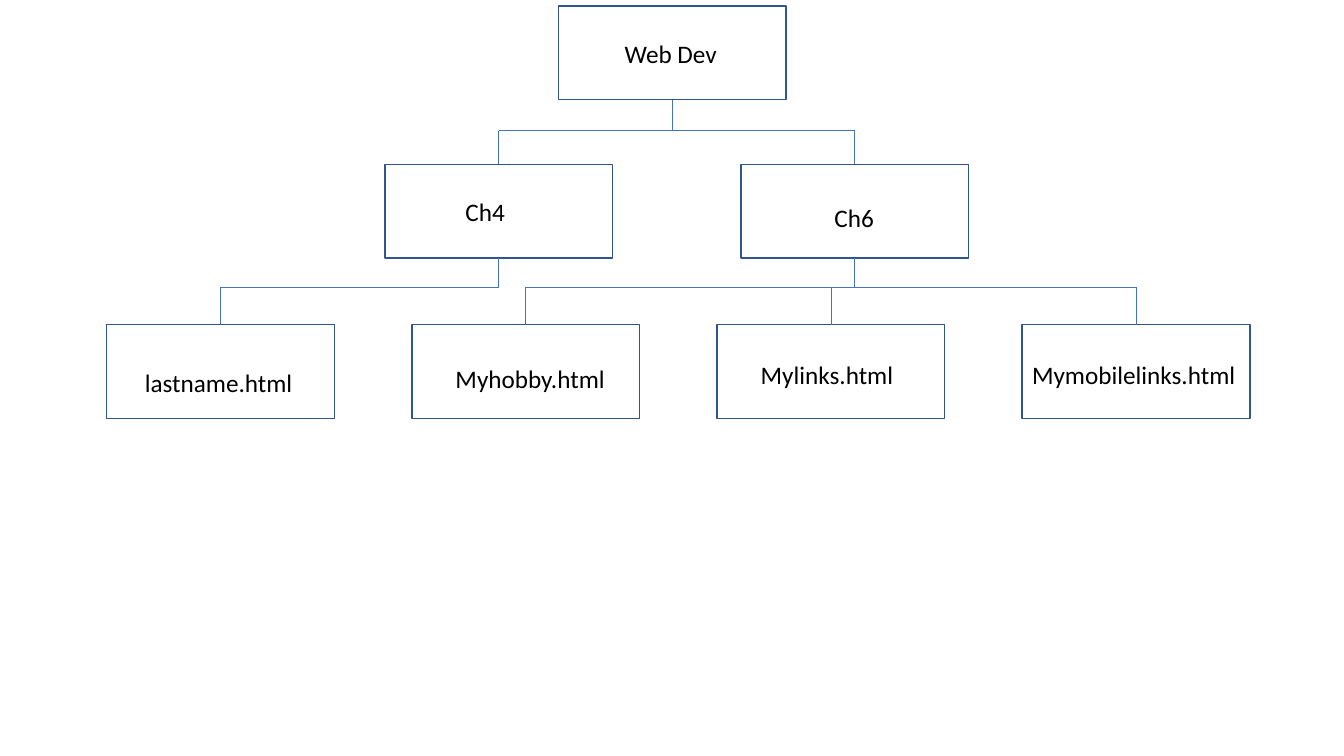
from pptx import Presentation
from pptx.dml.color import RGBColor
from pptx.enum.shapes import MSO_CONNECTOR, MSO_SHAPE
from pptx.enum.text import MSO_AUTO_SIZE
from pptx.oxml.ns import qn
from pptx.util import Cm, Pt
from lxml.etree import SubElement

WIDTH, HEIGHT = 5.74, 2.36
TOPS = 0.15, 4.14, 8.18
PAGE_LEFT, PAGE_STEP = 2.69, 7.69
BUS_TOP, BUS_LOW = 3.29, 7.24

# Text, left, top, width
LABELS = [
    ("Web Dev", 15.49, 0.84, 2.87),
    ("Ch4", 11.48, 4.83, 1.52),
    ("Ch6", 20.78, 4.98, 1.52),
    ("lastname.html", 3.4, 9.14, 4.27),
    ("Myhobby.html", 11.23, 9.02, 4.32),
    ("Mylinks.html", 18.92, 8.94, 3.89),
    ("Mymobilelinks.html", 25.76, 8.92, 5.69),
]


def color(code):
    return RGBColor.from_string(code)


def add_box(slide, left, top):
    box = slide.shapes.add_shape(
        MSO_SHAPE.RECTANGLE, Cm(left), Cm(top), Cm(WIDTH), Cm(HEIGHT))
    box.shadow.inherit = False
    box.fill.background()
    box.line.color.rgb = color("325491")
    box.line.width = Pt(1)
    return box


def add_line(slide, x1, y1, x2, y2):
    line = slide.shapes.add_connector(MSO_CONNECTOR.STRAIGHT, x1, y1, x2, y2)
    line.line.color.rgb = color("4472C4")
    line.line.width = Pt(0.5)
    SubElement(line._element.spPr, qn("a:effectLst"))
    return line


def add_tree(slide, parent, kids, bus):
    """Link a parent box to its children through a level line at height bus."""
    y = Cm(bus)
    mid = parent.left + parent.width // 2
    trunk = add_line(slide, mid, parent.top + parent.height, mid, y)
    trunk.begin_connect(parent, 2)
    for kid in kids:
        x = kid.left + kid.width // 2
        if len(kids) < 3 or kid is not kids[1]:
            add_line(slide, mid, y, x, y)
        drop = add_line(slide, x, kid.top, x, y)
        drop.begin_connect(kid, 0)


def add_label(slide, text, left, top, width):
    frame = slide.shapes.add_textbox(
        Cm(left), Cm(top), Cm(width), Cm(1.02)).text_frame
    frame.word_wrap = False
    frame.auto_size = MSO_AUTO_SIZE.SHAPE_TO_FIT_TEXT
    line = frame.paragraphs[0]
    line.text = text
    line.font.name = "Calibri"
    line.font.size = Pt(18)
    line.font.color.rgb = color("000000")


def main():
    deck = Presentation()
    deck.slide_width, deck.slide_height = Cm(33.87), Cm(19.05)
    slide = deck.slides.add_slide(deck.slide_layouts[6])

    root = add_box(slide, 14.07, TOPS[0])
    dirs = [add_box(slide, left, TOPS[1]) for left in (9.7, 18.67)]
    pages = [add_box(slide, PAGE_LEFT + i * PAGE_STEP, TOPS[2])
             for i in range(4)]

    add_tree(slide, root, dirs, BUS_TOP)
    add_tree(slide, dirs[0], pages[:1], BUS_LOW)
    add_tree(slide, dirs[1], pages[1:], BUS_LOW)

    for label in LABELS:
        add_label(slide, *label)
    deck.save("out.pptx")


if __name__ == "__main__":
    main()
